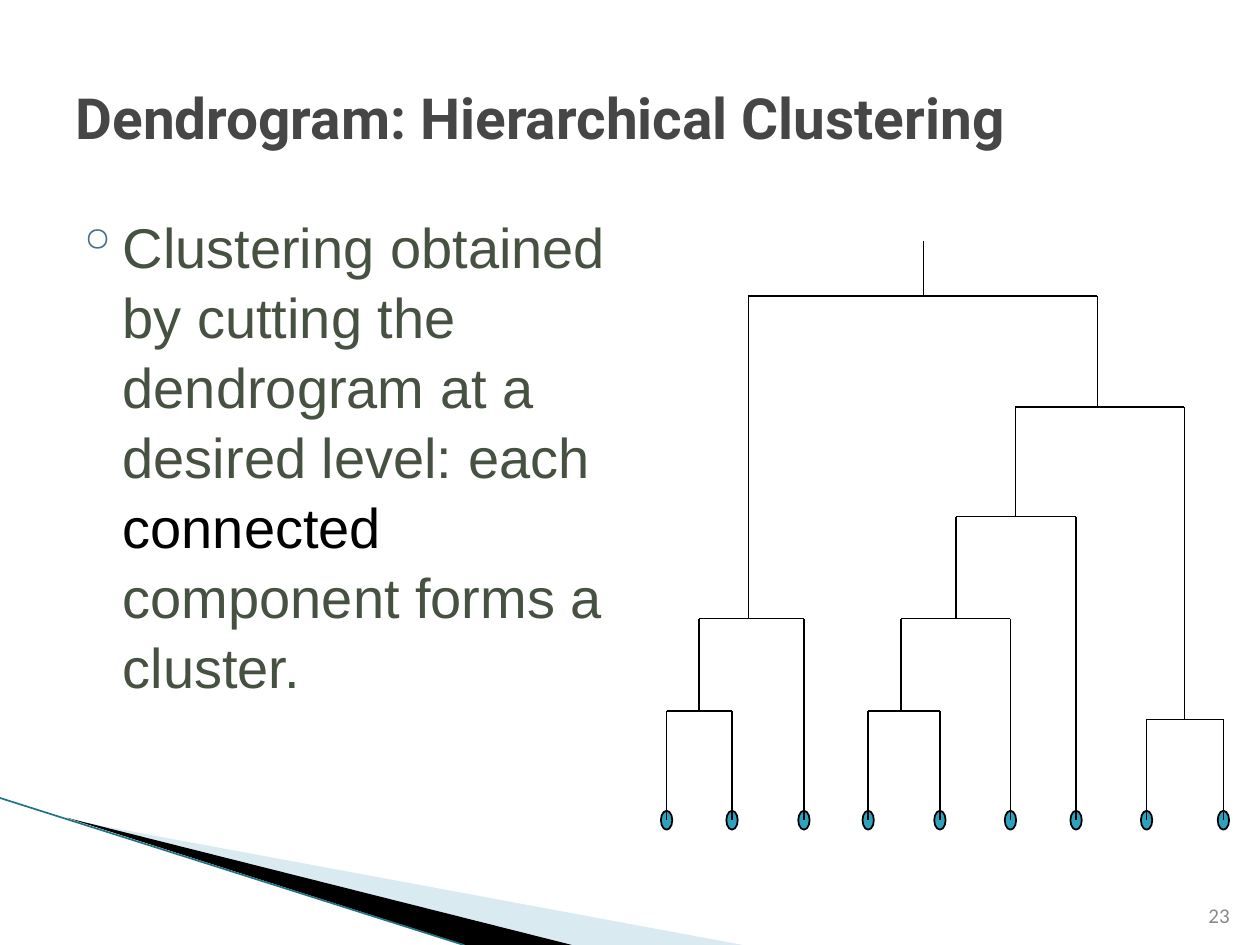
from lxml import etree
from pptx import Presentation
from pptx.dml.color import RGBColor
from pptx.enum.shapes import MSO_CONNECTOR, MSO_SHAPE
from pptx.enum.text import MSO_ANCHOR, MSO_AUTO_SIZE, PP_ALIGN
from pptx.oxml.ns import qn
from pptx.util import Pt

LEAF_XS = [2.9, 40.3, 81.4, 118.1, 159.1, 199.4, 236.9, 277.2, 321.1]
LEAF_Y = 330.7
# Each join: name, left child, right child, stem x, bar y.
# Children are leaf numbers or names of earlier joins.
JOINS = [
    ("pair a", 0, 1, 21.6, 268.1),
    ("pair b", 3, 4, 136.8, 268.1),
    ("pair c", 7, 8, 298.8, 273.1),
    ("left half", "pair a", 2, 49.7, 215.5),
    ("triple", "pair b", 5, 168.5, 215.5),
    ("quad", "triple", 6, 202.3, 157.2),
    ("right half", "quad", "pair c", 249.1, 94.6),
    ("root", "left half", "right half", 149.8, 31.2),
]


def color(hex_string):
    return RGBColor.from_string(hex_string)


def add_span(para, text, size, font, fill, bold=False):
    span = para.add_run()
    span.text = text
    span.font.size = Pt(size)
    span.font.name = font
    span.font.bold = bold
    span.font.color.rgb = color(fill)


def prepare_frame(shape, anchor):
    frame = shape.text_frame
    frame.word_wrap = True
    frame.auto_size = MSO_AUTO_SIZE.NONE
    frame.vertical_anchor = anchor
    return frame.paragraphs[0]


def add_line(page, start, end, stroke="000000", width=1):
    line = page.shapes.add_connector(
        MSO_CONNECTOR.STRAIGHT, *(Pt(value) for value in (*start, *end)))
    line.line.color.rgb = color(stroke)
    line.line.width = Pt(width)
    etree.SubElement(line._element.spPr, qn("a:effectLst"))


def add_wedge(page, points, fill, opacity=100):
    builder = page.shapes.build_freeform(*(Pt(value) for value in points[0]))
    builder.add_line_segments([(Pt(x), Pt(y)) for x, y in points[1:]])
    wedge = builder.convert_to_shape()
    wedge.shadow.inherit = False
    wedge.line.fill.background()
    wedge.fill.solid()
    wedge.fill.fore_color.rgb = color(fill)
    if opacity < 100:
        tone = wedge._element.spPr.find(".//" + qn("a:srgbClr"))
        etree.SubElement(tone, qn("a:alpha"), val=str(opacity * 1000))


def add_corner_decoration(page, left, top):
    def place(*points):
        return [(left + x, top + y) for x, y in points]

    add_wedge(page, place((39.6, 12.5), (424.5, 84), (328, 84)), "A0CBDC", 40)
    add_wedge(page, place((38.2, 11.3), (327, 84), (266, 84)), "000000")
    add_line(page, *place((0, 0), (265, 84)), stroke="1F7288", width=0.95)


def add_title(page, left, top, width, height):
    title = page.shapes.title
    title.left, title.top = Pt(left), Pt(top)
    title.width, title.height = Pt(width), Pt(height)
    para = prepare_frame(title, MSO_ANCHOR.MIDDLE)
    para.alignment = PP_ALIGN.LEFT
    add_span(para, "Dendrogram: Hierarchical Clustering", 32.4, "Roboto",
             "464646", bold=True)


def add_bullet(para, mark, fill, indent):
    props = para._p.get_or_add_pPr()
    props.set("marL", str(Pt(indent)))
    props.set("indent", str(-Pt(indent)))
    tone = etree.SubElement(props, qn("a:buClr"))
    etree.SubElement(tone, qn("a:srgbClr"), val=fill)
    etree.SubElement(props, qn("a:buChar"), char=mark)


def add_explanation(page, left, top, width, height):
    box = page.shapes.add_textbox(Pt(left), Pt(top), Pt(width), Pt(height))
    para = prepare_frame(box, MSO_ANCHOR.TOP)
    para.space_before = Pt(3.2)
    para.line_spacing = 1.04
    add_bullet(para, "◦", "437085", 27)
    for text, fill in [
        ("Clustering obtained by cutting the dendrogram at a desired level: "
         "each ", "465142"),
        ("connected", "000000"),
        (" component forms a cluster.", "465142"),
    ]:
        add_span(para, text, 32, "Arial", fill)


def add_page_number(page, left, top, width, height):
    box = page.shapes.add_textbox(Pt(left), Pt(top), Pt(width), Pt(height))
    para = prepare_frame(box, MSO_ANCHOR.BOTTOM)
    para.alignment = PP_ALIGN.RIGHT
    add_span(para, "23", 12, "Calibri", "898989")


def add_leaf(page, x, y, width=6.5, height=10.8):
    """Draw a leaf dot centred on the given point."""
    dot = page.shapes.add_shape(
        MSO_SHAPE.OVAL, Pt(x - width / 2), Pt(y - height / 2),
        Pt(width), Pt(height))
    dot.shadow.inherit = False
    dot.fill.solid()
    dot.fill.fore_color.rgb = color("2DA2BF")
    dot.line.color.rgb = color("000000")
    dot.line.width = Pt(1)


def add_dendrogram(page, left, top):
    nodes = {index: (left + x, top + LEAF_Y)
             for index, x in enumerate(LEAF_XS)}
    for x, y in nodes.values():
        add_leaf(page, x, y)
    for name, first, second, stem_x, bar_y in JOINS:
        bar = top + bar_y
        for child in (first, second):
            add_line(page, (nodes[child][0], bar), nodes[child])
        add_line(page, (nodes[first][0], bar), (nodes[second][0], bar))
        nodes[name] = (left + stem_x, bar)
    add_line(page, (nodes["root"][0], top), nodes["root"])


def main():
    deck = Presentation()
    deck.slide_width, deck.slide_height = Pt(720), Pt(540)
    page = deck.slides.add_slide(deck.slide_layouts[5])
    add_corner_decoration(page, 0, 456)
    add_explanation(page, 36, 116.6, 318.2, 356.4)
    add_page_number(page, 681, 504.7, 28.8, 28.8)
    add_title(page, 36, 21.6, 648, 90)
    add_dendrogram(page, 378, 138)
    deck.save("out.pptx")


if __name__ == "__main__":
    main()
